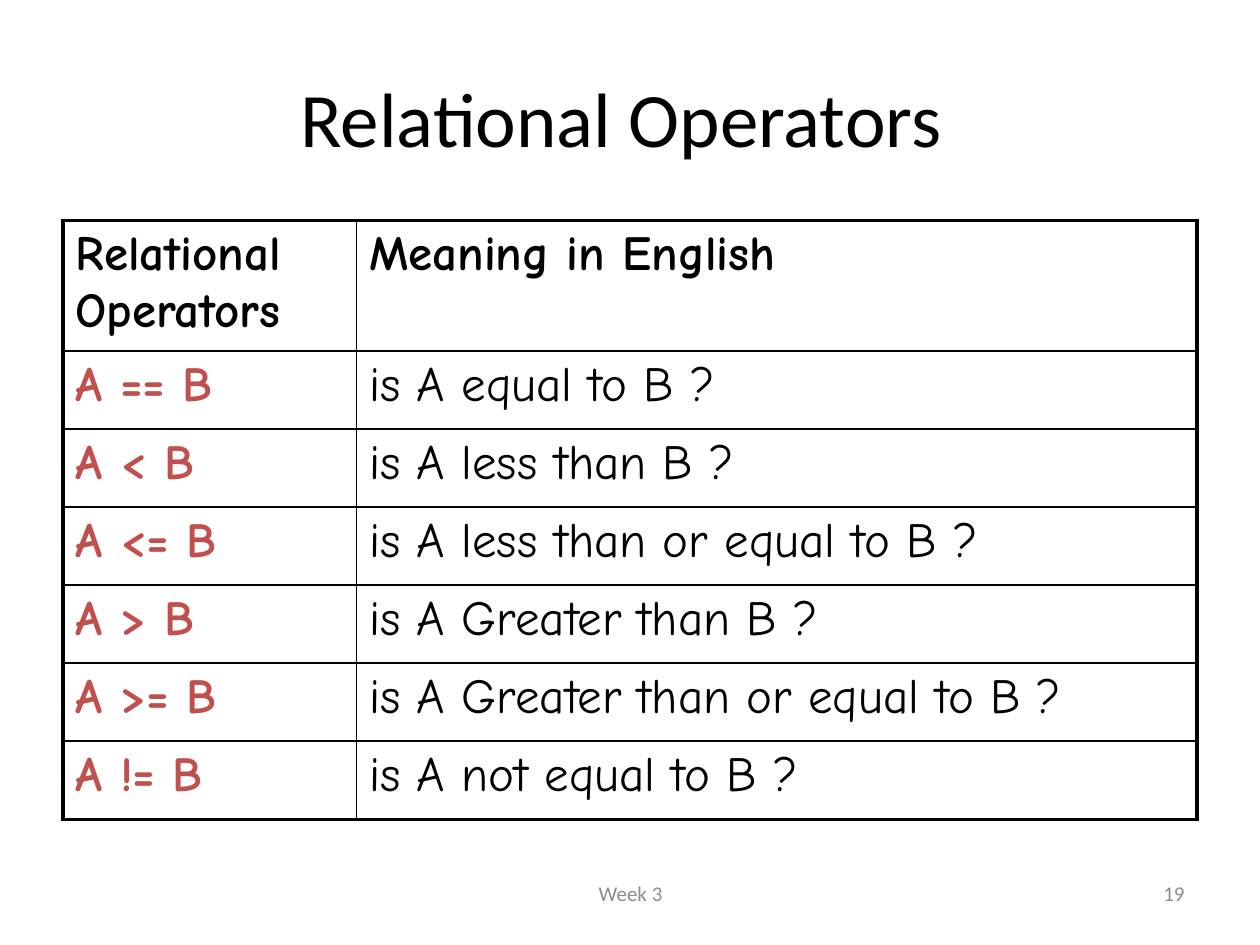
from lxml import etree
from pptx import Presentation
from pptx.dml.color import RGBColor
from pptx.enum.text import MSO_ANCHOR, PP_ALIGN
from pptx.oxml.ns import qn
from pptx.util import Inches, Pt

LEFT, CENTER, RIGHT = PP_ALIGN.LEFT, PP_ALIGN.CENTER, PP_ALIGN.RIGHT
MIDDLE = MSO_ANCHOR.MIDDLE

BLACK = RGBColor(0x00, 0x00, 0x00)
RED = RGBColor(0xC0, 0x50, 0x4D)
GRAY = RGBColor(0x8C, 0x8C, 0x8C)

THIN, THICK = 1, 2.25

ROWS = [
    ("Relational Operators", "Meaning in English"),
    ("A == B", "is A equal to B ?"),
    ("A < B", "is A less than B ?"),
    ("A <= B", "is A less than or equal to B ?"),
    ("A > B", "is A Greater than B ?"),
    ("A >= B", "is A Greater than or equal to B ?"),
    ("A != B", "is A not equal to B ?"),
]


def write_text(frame, text, size=12, font="Calibri", color=BLACK, bold=False, align=LEFT):
    frame.word_wrap = True
    paragraph = frame.paragraphs[0]
    paragraph.alignment = align
    run = paragraph.add_run()
    run.text = text
    run.font.size = Pt(size)
    run.font.name = font
    run.font.bold = bold
    run.font.color.rgb = color


def set_borders(cell, widths):
    properties = cell._tc.get_or_add_tcPr()
    for position, (side, width) in enumerate(widths.items()):
        line = etree.Element(qn(f"a:ln{side}"), w=str(Pt(width)))
        fill = etree.SubElement(line, qn("a:solidFill"))
        etree.SubElement(fill, qn("a:srgbClr"), val=str(BLACK))
        properties.insert(position, line)


presentation = Presentation()
presentation.slide_width = Inches(10)
presentation.slide_height = Inches(7.5)
slide = presentation.slides.add_slide(presentation.slide_layouts[6])

# Title, footer and slide number
for text, left, top, width, height, size, color, align in [
    ("Relational Operators ", 0.5, 0.3, 9, 1.25, 44, BLACK, CENTER),
    ("Week 3", 3.42, 6.83, 3.17, 0.52, 12, GRAY, CENTER),
    ("19", 7.17, 6.83, 2.33, 0.52, 12, GRAY, RIGHT),
]:
    box = slide.shapes.add_textbox(Inches(left), Inches(top), Inches(width), Inches(height))
    box.text_frame.vertical_anchor = MIDDLE
    write_text(box.text_frame, text, size=size, color=color, align=align)

# Operator table
table = slide.shapes.add_table(
    len(ROWS), 2, Inches(0.5), Inches(1.75), Inches(9), Inches(4.72)
).table
table.horz_banding = False
table.columns[0].width = Inches(2.33)
table.columns[1].width = Inches(6.67)

last_row = len(ROWS) - 1
for row_index, row in enumerate(ROWS):
    is_header = row_index == 0
    table.rows[row_index].height = Inches(1 if is_header else 0.62)
    for column_index, text in enumerate(row):
        is_operator = column_index == 0
        cell = table.cell(row_index, column_index)
        cell.fill.background()
        write_text(
            cell.text_frame, text, size=28, font="Comic Neue",
            color=RED if is_operator and not is_header else BLACK,
            bold=is_header or is_operator,
        )
        # Thick outer frame, thin inner rules
        set_borders(cell, {
            "L": THICK if is_operator else THIN,
            "R": THIN if is_operator else THICK,
            "T": THICK if is_header else THIN,
            "B": THICK if row_index == last_row else THIN,
        })

presentation.save("out.pptx")
